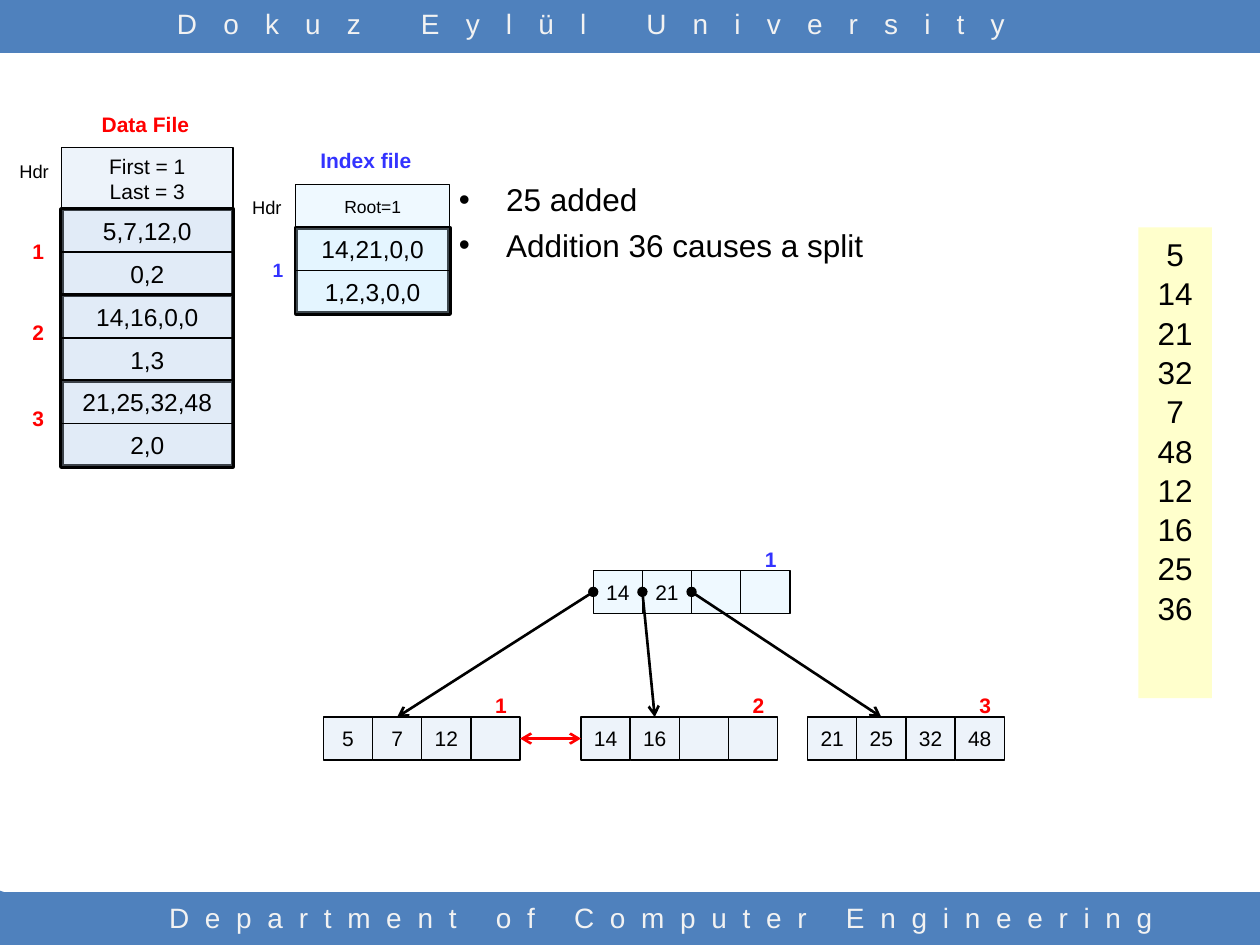
from dataclasses import dataclass
from typing import Any

import pptx
import pptx.dml.color
import pptx.enum.shapes
import pptx.enum.text
import pptx.util
from lxml import etree
from pptx.oxml import ns

Pt = pptx.util.Pt
ALIGN = pptx.enum.text.PP_ALIGN
ANCHOR = pptx.enum.text.MSO_ANCHOR
RECTANGLE = pptx.enum.shapes.MSO_SHAPE.RECTANGLE
STRAIGHT = pptx.enum.shapes.MSO_CONNECTOR.STRAIGHT

COLORS = {
    "bar": "4F81BD", "bar_text": "F2F2F2", "keys": "FFFFCC", "text": "000000",
    "data": "C6D9F1", "index": "CCECFF", "data_label": "FF0000", "index_label": "3333FF",
}
FONT = "Arial"
ROW = 24.5          # height of one row in files and tree nodes
NODE_CELL = 28.1    # width of one key in a tree node
LINE_SPACING = 1.04


@dataclass
class Label:
    text: str
    left: float
    top: float
    width: float
    color: str = "text"
    size: float = 12
    bold: bool = True
    align: Any = ALIGN.LEFT
    spacing: int = 0
    height: float = 21.5


@dataclass
class File:
    left: float
    top: float
    width: float
    header: str
    header_height: float
    header_size: float
    records: list[tuple[str, str]]
    fill: str
    labels: list[Label]


@dataclass
class Node:
    number: str
    left: float
    top: float
    keys: list[str]
    fill: str
    label_color: str


def color(name: str) -> pptx.dml.color.RGBColor:
    return pptx.dml.color.RGBColor.from_string(COLORS[name])


def format_text(frame, size: float, color_name: str = "text", bold: bool = False,
                align: Any = ALIGN.CENTER, spacing: int = 0) -> None:
    for paragraph in frame.paragraphs:
        paragraph.alignment = align
        for run in paragraph.runs:
            run.font.name = FONT
            run.font.size = Pt(size)
            run.font.bold = bold
            run.font.color.rgb = color(color_name)
            if spacing:
                run._r.get_or_add_rPr().set("spc", str(spacing * 100))


def paint(shape, fill: str) -> None:
    shape.shadow.inherit = False
    shape.fill.solid()
    shape.fill.fore_color.rgb = color(fill)
    shape.line.fill.background()


def add_block(shapes, left: float, top: float, width: float, height: float, fill: str):
    shape = shapes.add_shape(RECTANGLE, Pt(left), Pt(top), Pt(width), Pt(height))
    paint(shape, fill)
    return shape


def add_cell(shapes, text: str, left: float, top: float, width: float, height: float,
             fill: str, size: float = 12, line_width: float = 0.75):
    shape = add_block(shapes, left, top, width, height, fill)
    solid_fill = shape._element.spPr.find(ns.qn("a:solidFill"))
    etree.SubElement(solid_fill[0], ns.qn("a:alpha"), val="30000")
    shape.line.color.rgb = color("text")
    shape.line.width = Pt(line_width)
    if text:
        frame = shape.text_frame
        frame.text = text
        frame.word_wrap = False
        frame.vertical_anchor = ANCHOR.MIDDLE
        format_text(frame, size)
    return shape


def add_label(shapes, label: Label) -> None:
    box = shapes.add_textbox(Pt(label.left), Pt(label.top), Pt(label.width), Pt(label.height))
    box.text_frame.text = label.text
    box.text_frame.word_wrap = False
    format_text(box.text_frame, label.size, label.color, label.bold, label.align, label.spacing)


def add_file(slide, file: File) -> None:
    shapes = slide.shapes.add_group_shape().shapes
    add_cell(shapes, file.header, file.left, file.top, file.width, file.header_height,
             file.fill, file.header_size)
    top = file.top + file.header_height
    for record in file.records:
        add_cell(shapes, "", file.left, top, file.width, 2 * ROW, file.fill, line_width=2.5)
        for text in record:
            add_cell(shapes, text, file.left, top, file.width, ROW, file.fill, 14)
            top += ROW
    for label in file.labels:
        add_label(shapes, label)


def add_node(slide, node: Node) -> list:
    shapes = slide.shapes.add_group_shape().shapes
    cells = [add_cell(shapes, key, node.left + i * NODE_CELL, node.top, NODE_CELL, ROW, node.fill)
             for i, key in enumerate(node.keys)]
    add_label(shapes, Label(node.number, node.left + 91, node.top - 17.5, 21, node.label_color))
    return cells


def connect(slide, start, start_site: int, end, end_site: int, color_name: str, head: str) -> None:
    connector = slide.shapes.add_connector(STRAIGHT, 0, 0, 0, 0)
    connector.begin_connect(start, start_site)
    connector.end_connect(end, end_site)
    connector.line.color.rgb = color(color_name)
    connector.line.width = Pt(1.5)
    properties = connector._element.spPr
    line = properties.find(ns.qn("a:ln"))
    etree.SubElement(line, ns.qn("a:headEnd"), type=head)
    etree.SubElement(line, ns.qn("a:tailEnd"), type="arrow")
    etree.SubElement(properties, ns.qn("a:effectLst"))


DATA_FILE = File(
    35.2, 84.4, 98, "First = 1\nLast = 3", 35.2, 12,
    [("5,7,12,0", "0,2"), ("14,16,0,0", "1,3"), ("21,25,32,48", "2,0")], "data",
    [Label("Data File", 51, 60, 73, "data_label"),
     Label("Hdr", 0, 88, 39, size=10.5, bold=False, align=ALIGN.CENTER)]
    + [Label(number, 11.5, top, 19.5, "data_label")
       for number, top in (("1", 133), ("2", 179), ("3", 228))])
INDEX_FILE = File(
    169, 105.6, 88, "Root=1", ROW, 10, [("14,21,0,0", "1,2,3,0,0")], "index",
    [Label("Index file", 176, 80.5, 67, "index_label"),
     Label("Hdr", 136, 108.7, 32, size=10.5, bold=False, align=ALIGN.RIGHT),
     Label("1", 148, 144, 21, "index_label", 11, align=ALIGN.RIGHT)])
ROOT = Node("1", 339, 326, ["14", "21", "", ""], "index", "index_label")
LEAVES = [Node(number, left, 409.8, keys, "data", "data_label") for number, left, keys in (
    ("1", 184.8, ["5", "7", "12", ""]),
    ("2", 332, ["14", "16", "", ""]),
    ("3", 461.5, ["21", "25", "32", "48"]))]
ADDED_KEYS = ["5", "14", "21", "32", "7", "48", "12", "16", "25", "36"]
CORNERS = [[(63.4, 510.5), (66.2, 510.5), (66.2, 540), (33.8, 540)],
           [(0, 509), (2.9, 509.8), (33, 540), (0, 540)]]


def main() -> None:
    presentation = pptx.Presentation()
    presentation.slide_width, presentation.slide_height = Pt(720), Pt(540)
    slide = presentation.slides.add_slide(presentation.slide_layouts[1])
    title = slide.shapes.title._element
    title.getparent().remove(title)

    # Header and footer bars
    for top in (0, 509.8):
        add_block(slide.shapes, 0, top, 720, 30.2, "bar")
    for first, *others in CORNERS:
        builder = slide.shapes.build_freeform(*first, scale=Pt(1))
        builder.add_line_segments(others)
        paint(builder.convert_to_shape(), "bar")
    for text, left, top, width, spacing in (
            ("Department of Computer Engineering", 66, 511, 624, 9),
            ("Dokuz Eylül University", 47, 0, 582, 15)):
        add_label(slide.shapes, Label(text, left, top, width, "bar_text", 16, False,
                                      ALIGN.CENTER, spacing, 29))

    # Added keys
    keys = add_block(slide.shapes, 650.5, 130, 42, 269, "keys")
    keys.text_frame.text = "\n".join(ADDED_KEYS)
    keys.text_frame.vertical_anchor = ANCHOR.TOP
    format_text(keys.text_frame, 18)

    # Explanation list
    body = slide.placeholders[1]
    body.left, body.top, body.width, body.height = Pt(255), Pt(98.6), Pt(304.5), Pt(88)
    body.text_frame.text = "25 added\nAddition 36 causes a split"
    body.text_frame.auto_size = pptx.enum.text.MSO_AUTO_SIZE.NONE
    format_text(body.text_frame, 18, align=ALIGN.LEFT)
    for i, paragraph in enumerate(body.text_frame.paragraphs):
        paragraph.space_before = Pt(3.6 if i else 0)
    for paragraph in (*keys.text_frame.paragraphs, *body.text_frame.paragraphs):
        paragraph.line_spacing = LINE_SPACING

    # Files and tree
    add_file(slide, DATA_FILE)
    add_file(slide, INDEX_FILE)
    root = add_node(slide, ROOT)
    leaves = [add_node(slide, leaf) for leaf in LEAVES]
    connect(slide, leaves[0][-1], 3, leaves[1][0], 1, "data_label", "arrow")
    for pointer, leaf in zip(root, leaves):
        connect(slide, pointer, 1, leaf[1], 0, "text", "oval")

    presentation.save("out.pptx")


if __name__ == "__main__":
    main()
